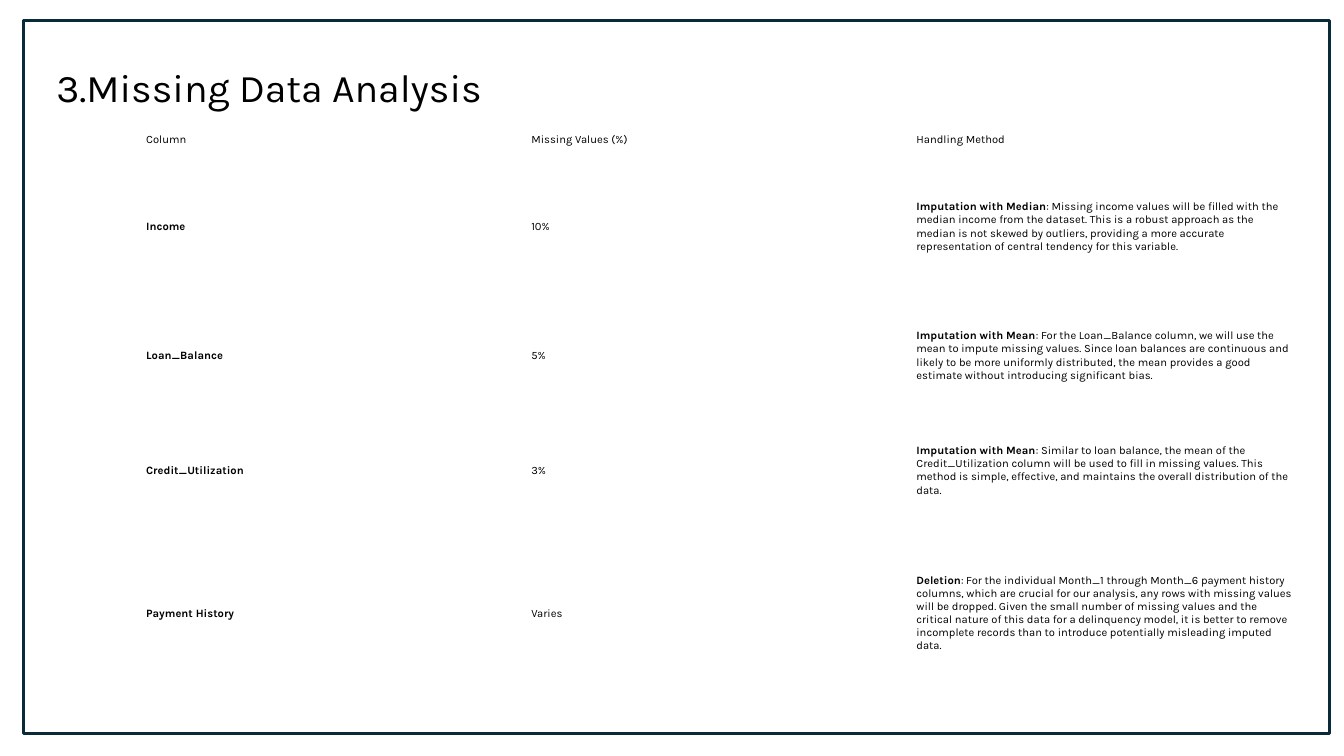
from pptx import Presentation
from pptx.dml.color import RGBColor
from pptx.enum.shapes import MSO_SHAPE
from pptx.enum.text import MSO_ANCHOR
from pptx.util import Inches, Pt

COLORS = {"frame": "092A39", "text": "000000"}
HEADERS = ["Column", "Missing Values (%)", "Handling Method"]
ROWS = [
    ("Income", "10%", "Imputation with Median",
     ": Missing income values will be filled with the median income from the "
     "dataset. This is a robust approach as the median is not skewed by outliers, "
     "providing a more accurate representation of central tendency for this variable."),
    ("Loan_Balance", "5%", "Imputation with Mean",
     ": For the Loan_Balance column, we will use the mean to impute missing values. "
     "Since loan balances are continuous and likely to be more uniformly distributed, "
     "the mean provides a good estimate without introducing significant bias."),
    ("Credit_Utilization", "3%", "Imputation with Mean",
     ": Similar to loan balance, the mean of the Credit_Utilization column will be "
     "used to fill in missing values. This method is simple, effective, and maintains "
     "the overall distribution of the data."),
    ("Payment History", "Varies", "Deletion",
     ": For the individual Month_1 through Month_6 payment history columns, which are "
     "crucial for our analysis, any rows with missing values will be dropped. Given the "
     "small number of missing values and the critical nature of this data for a "
     "delinquency model, it is better to remove incomplete records than to introduce "
     "potentially misleading imputed data."),
]
ROW_HEIGHTS = [0.45, 1.28, 1.28, 1, 1.83]
COL_WIDTH = 3.82


def add_text(p, text, size=8, bold=False, font="Karla", color="text"):
    r = p.add_run()
    r.text = text
    r.font.name = font
    r.font.size = Pt(size)
    r.font.bold = bold
    r.font.color.rgb = RGBColor.from_string(COLORS[color])


class SlideBuilder:
    def __init__(self, slide):
        self.s = slide

    def frame(self, x, y, w, h):
        sp = self.s.shapes.add_shape(
            MSO_SHAPE.RECTANGLE, Inches(x), Inches(y), Inches(w), Inches(h))
        sp.shadow.inherit = False
        sp.fill.background()
        sp.line.color.rgb = RGBColor.from_string(COLORS["frame"])
        sp.line.width = Pt(2)

    def title(self, text, x, y, w, h):
        sp = self.s.shapes.add_textbox(Inches(x), Inches(y), Inches(w), Inches(h))
        tf = sp.text_frame
        tf.word_wrap = True
        add_text(tf.paragraphs[0], text, size=28)

    def table(self, rows, x, y):
        table = self.s.shapes.add_table(
            len(rows), len(HEADERS), Inches(x), Inches(y),
            Inches(COL_WIDTH * len(HEADERS)), Inches(sum(ROW_HEIGHTS))).table
        table.first_row = False
        table.horz_banding = False
        for column in table.columns:
            column.width = Inches(COL_WIDTH)
        for row, height, contents in zip(table.rows, ROW_HEIGHTS, rows):
            row.height = Inches(height)
            for cell, runs in zip(row.cells, contents):
                self.cell(cell, runs)

    def cell(self, cell, runs):
        cell.fill.background()
        cell.vertical_anchor = MSO_ANCHOR.MIDDLE
        cell.margin_left = cell.margin_right = Inches(0.04)
        cell.margin_top = cell.margin_bottom = Inches(0.02)
        for text, bold in runs:
            add_text(cell.text_frame.paragraphs[0], text, bold=bold)


def main():
    prs = Presentation()
    prs.slide_width = Inches(13.33)
    prs.slide_height = Inches(7.5)
    builder = SlideBuilder(prs.slides.add_slide(prs.slide_layouts[6]))
    builder.frame(0.23, 0.2, 12.96, 7.08)
    rows = [[[(header, False)] for header in HEADERS]]
    for name, share, method, reason in ROWS:
        rows.append([[(name, True)], [(share, False)], [(method, True), (reason, False)]])
    builder.table(rows, 1.41, 1.16)
    builder.title("3.Missing Data Analysis", 0.46, 0.58, 4.69, 0.57)
    prs.save("out.pptx")


if __name__ == "__main__":
    main()
